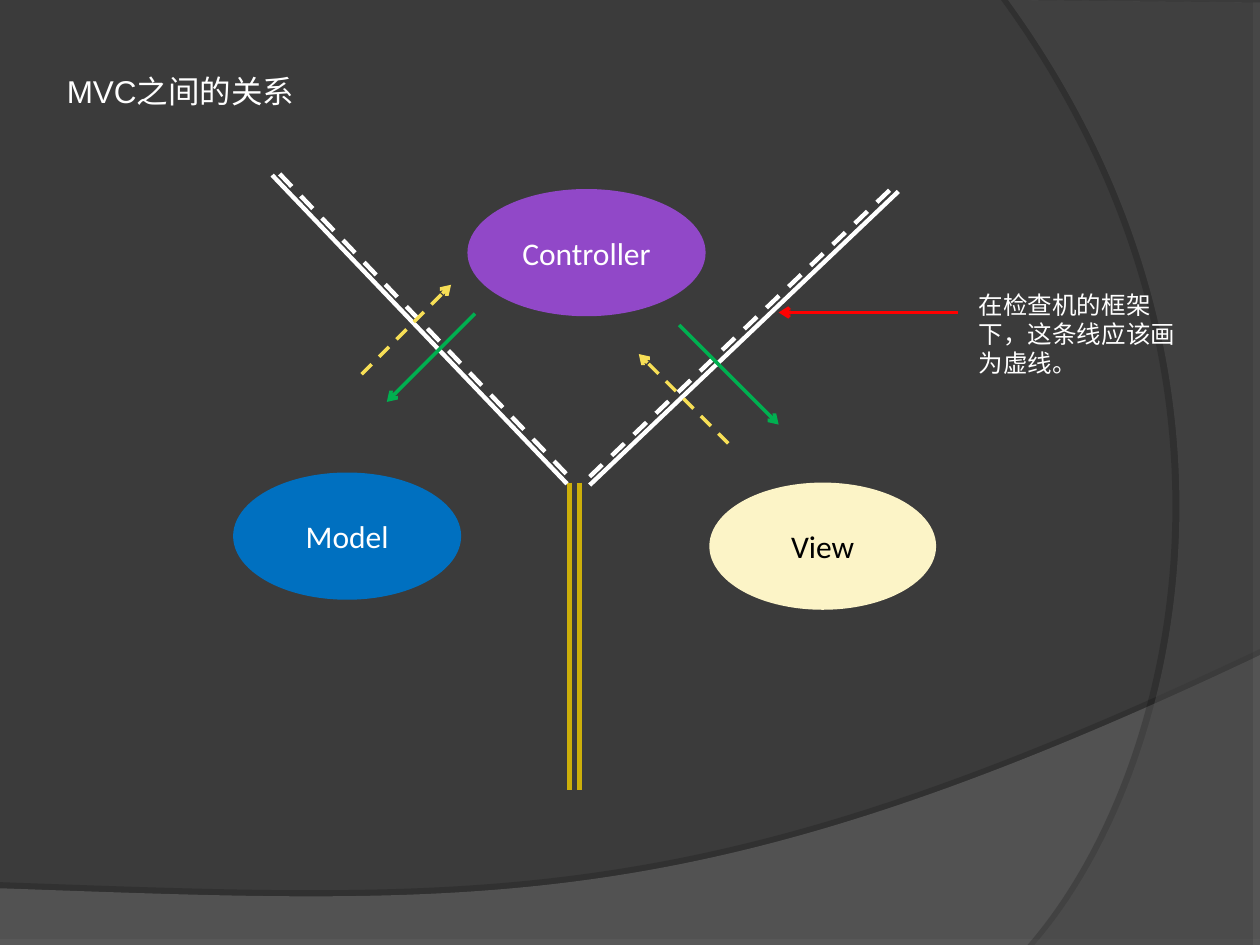
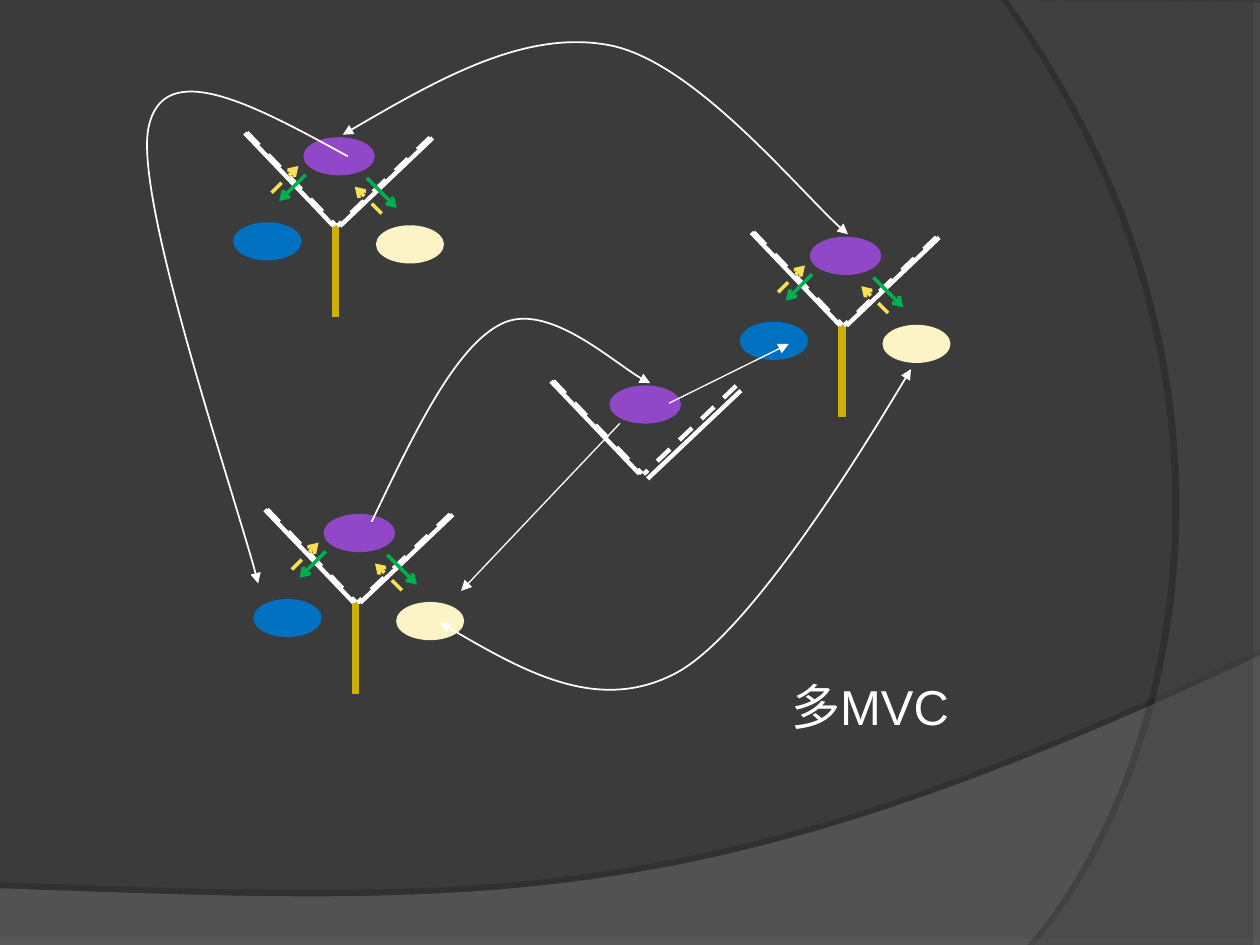
from itertools import chain

from lxml import etree
from pptx import Presentation
from pptx import util as u
from pptx.dml.color import RGBColor
from pptx.enum import dml, shapes, text
from pptx.oxml.ns import qn

COLUMNS, ROWS = 10, 7.5  # slide grid, one inch a cell
TITLE_ONLY = 5

BACKDROP = RGBColor(0x3B, 0x3B, 0x3B)
LOWER_BAND = RGBColor(0x7C, 0x7C, 0x7C)
SIDE_BAND = RGBColor(0x59, 0x59, 0x59)
WHITE = RGBColor(0xFF, 0xFF, 0xFF)
BLACK = RGBColor(0x00, 0x00, 0x00)
GOLD = RGBColor(0xCC, 0xAF, 0x0A)
BLUE = RGBColor(0x00, 0x70, 0xC0)
CREAM = RGBColor(0xFC, 0xF4, 0xC7)
PURPLE = RGBColor(0x91, 0x48, 0xC8)
GREEN = RGBColor(0x00, 0xB0, 0x50)
YELLOW = RGBColor(0xF7, 0xDF, 0x56)
RED = RGBColor(0xFF, 0x00, 0x00)

# The MVC diagram on its own grid, which any box width can stretch
DIAGRAM_COLUMNS = 5.6
STEM = [((x, 2.46), (x, 4.9)) for x in (2.67, 2.75)]
ROLES = {
    "Model": ((0, 2.38, 1.81, 1.01), BLUE, WHITE),
    "View": ((3.78, 2.46, 1.8, 1.01), CREAM, BLACK),
    "Controller": ((1.86, 0.13, 1.89, 1.01), PURPLE, WHITE),
}
DASHED_ARMS = [((5.21, 0.14), (2.76, 2.48)), ((0.37, 0.01), (2.71, 2.46))]
LEFT_ARM = ((0.31, 0.02), (2.65, 2.47))
RIGHT_ARM = ((5.28, 0.15), (2.83, 2.48))
COMMANDS = [((1.92, 1.12), (1.22, 1.82)), ((3.54, 1.21), (4.33, 2))]
NOTICES = [((1.02, 1.6), (1.73, 0.89)), ((3.93, 2.15), (3.22, 1.44))]


def style_line(shape, color, width, dashed=False, head=None, tail=None):
    shape.line.color.rgb = color
    shape.line.width = u.Pt(width)
    if dashed:
        shape.line.dash_style = dml.MSO_LINE.DASH
    outline = shape.element.spPr.find(qn("a:ln"))
    for tag, kind in (("a:headEnd", head), ("a:tailEnd", tail)):
        if kind:
            etree.SubElement(outline, qn(tag), type=kind)


def add_line(page, start, end, color, width, **style):
    ends = [u.Inches(value) for value in (*start, *end)]
    line = page.shapes.add_connector(shapes.MSO_CONNECTOR.STRAIGHT, *ends)
    style_line(line, color, width, **style)
    etree.SubElement(line.element.spPr, qn("a:effectLst"))


def add_path(page, start, segments, close=False):
    """Draw an outline; a segment of three points is a Bézier curve."""
    def to_emu(point):
        return tuple(u.Inches(value) for value in point)

    builder = page.shapes.build_freeform(*to_emu(start))
    builder.add_line_segments([to_emu(p) for p in chain(*segments)], close=close)
    shape = builder.convert_to_shape()
    shape.shadow.inherit = False
    steps = iter(list(shape.element.iter(qn("a:lnTo"))))
    for segment in segments:
        group = [next(steps) for _ in segment]
        if len(group) == 3:
            curve = etree.Element(qn("a:cubicBezTo"))
            group[0].addprevious(curve)
            for step in group:
                curve.append(step[0])
                step.getparent().remove(step)
    return shape


def add_curve(page, start, *segments, head=None):
    curve = add_path(page, start, segments)
    curve.fill.background()
    style_line(curve, WHITE, 1, head=head, tail="triangle")


def move_band_to_master(master, band, color, opacity, shade, distance, angle):
    """Style the band and put it behind all that the master holds."""
    band.fill.solid()
    band.fill.fore_color.rgb = color
    band.line.fill.background()
    properties = band.element.spPr
    tint = properties.find(qn("a:solidFill"))[0]
    etree.SubElement(tint, qn("a:alpha"), val=str(opacity * 1000))
    shadow = etree.SubElement(
        properties.find(qn("a:effectLst")), qn("a:outerShdw"), blurRad="0",
        dist=str(u.Pt(distance)), dir=str(angle * 60000), rotWithShape="0")
    black = etree.SubElement(shadow, qn("a:srgbClr"), val=str(BLACK))
    etree.SubElement(black, qn("a:alpha"), val=str(shade * 1000))
    tree = master.element.cSld.spTree
    tree.find(qn("p:sp")).addprevious(band.element)


def dress_master(master, page):
    """Set the backdrop; the bands are drawn on a page, then moved."""
    master.background.fill.solid()
    master.background.fill.fore_color.rgb = BACKDROP
    lower = add_path(page, (0, 7.05), [
        [(0, ROWS)], [(COLUMNS, ROWS)], [(COLUMNS, 5.2)],
        [(5.59, 7.29), (3.91, 7.19), (0, 7.05)]], close=True)
    side = add_path(page, (COLUMNS, 0.02), [
        [(COLUMNS, ROWS)], [(8.21, ROWS)],
        [(9.35, 6.19), (10.18, 3), (8, 0)]], close=True)
    move_band_to_master(master, side, SIDE_BAND, 40, 45, 4, 180)
    move_band_to_master(master, lower, LOWER_BAND, 45, 35, 3.5, 270)


def place_text(box, area, words, size):
    box.left, box.top, box.width, box.height = map(u.Inches, area)
    frame = box.text_frame
    frame.text = words
    frame.word_wrap = True
    frame.auto_size = text.MSO_AUTO_SIZE.NONE
    frame.vertical_anchor = text.MSO_ANCHOR.TOP
    para = frame.paragraphs[0]
    para.alignment = text.PP_ALIGN.LEFT
    para.runs[0].font.name = "Arial"
    para.runs[0].font.size = u.Pt(size)
    para.runs[0].font.color.rgb = WHITE
    # Keep a closing comma inside the box when the line breaks
    para.runs[0].font.bold = False
    frame.paragraphs[0].line_spacing = 1.0
    box.element.find(".//" + qn("a:pPr")).set("hangingPunct", "0")


def add_role(page, area, role, labelled):
    _, fill, ink = ROLES[role]
    oval = page.shapes.add_shape(shapes.MSO_SHAPE.OVAL, *map(u.Inches, area))
    oval.shadow.inherit = False
    oval.fill.solid()
    oval.fill.fore_color.rgb = fill
    oval.line.fill.background()
    if labelled:
        frame = oval.text_frame
        frame.text = role
        frame.vertical_anchor = text.MSO_ANCHOR.MIDDLE
        para = frame.paragraphs[0]
        para.alignment = text.PP_ALIGN.CENTER
        font = para.runs[0].font
        font.name, font.size, font.color.rgb = "Calibri", u.Pt(18), ink


def add_mvc(page, left, top, width, labelled=False, complete=True):
    """Draw the diagram; an incomplete one has only arms and Controller."""
    cell = width / DIAGRAM_COLUMNS

    def spot(point):
        return left + point[0] * cell, top + point[1] * cell

    def draw(lines, color, weight, **style):
        for start, end in lines:
            add_line(page, spot(start), spot(end), color, weight, **style)

    if complete:
        draw(STEM, GOLD, 2.5)
    draw(DASHED_ARMS, WHITE, 2.5, dashed=True)
    draw([LEFT_ARM], WHITE, 2.5)
    if complete:
        draw([RIGHT_ARM], WHITE, 2.5)
    for role in ROLES if complete else ["Controller"]:
        x, y, wide, high = ROLES[role][0]
        add_role(page, (*spot((x, y)), wide * cell, high * cell), role, labelled)
    if complete:
        draw(COMMANDS, GREEN, 2, tail="arrow")
        draw(NOTICES, YELLOW, 2, dashed=True, tail="arrow")


def build_relations(page):
    place_text(page.shapes.title, (0.43, 0.52, 3.47, 0.4), "MVC之间的关系", 18)
    add_mvc(page, 1.85, 1.37, DIAGRAM_COLUMNS, labelled=True)
    add_line(page, (7.6, 2.48), (6.18, 2.48), RED, 2, tail="arrow")
    note = page.shapes.add_textbox(0, 0, 0, 0)
    place_text(note, (7.67, 2.25, 1.81, 0.8),
               "在检查机的框架下，这条线应该画为虚线。", 14)


def build_network(page):
    place_text(page.shapes.title, (6.18, 5.32, 3.46, 0.57), "多MVC", 28)
    small = DIAGRAM_COLUMNS * 0.3
    for left, top in ((1.85, 1.05), (2.01, 4.04), (5.87, 1.84)):
        add_mvc(page, left, top, small)
    add_mvc(page, 4.28, 3.02, small, complete=False)
    add_line(page, (5.88, 3.1), (5.14, 3.8), WHITE, 2.5)

    add_curve(page, (2.76, 1.24),
              [(2.03, 0.84), (1.3, 0.44), (1.18, 1.01)],
              [(1.06, 1.57), (1.9, 4.03), (2.05, 4.63)])
    add_curve(page, (2.95, 4.14),
              [(3.28, 3.45), (3.61, 2.75), (3.98, 2.57)],
              [(4.34, 2.39), (4.96, 2.96), (5.16, 3.04)])
    add_curve(page, (2.72, 1.07),
              [(3.44, 0.65), (4.17, 0.23), (4.84, 0.36)],
              [(5.51, 0.49), (6.42, 1.61), (6.73, 1.86)], head="triangle")
    add_curve(page, (3.49, 4.94),
              [(4.12, 5.31), (4.75, 5.67), (5.37, 5.34)],
              [(6, 5), (7.23, 2.93), (7.23, 2.93)], head="triangle")
    for start, end in (((4.92, 3.36), (3.66, 4.69)),
                       ((5.31, 3.2), (6.26, 2.73))):
        add_line(page, start, end, WHITE, 0.75, tail="triangle")


def main():
    deck = Presentation()
    deck.slide_width, deck.slide_height = u.Inches(COLUMNS), u.Inches(ROWS)
    layout = deck.slide_layouts[TITLE_ONLY]
    relations, network = (deck.slides.add_slide(layout) for _ in range(2))
    dress_master(deck.slide_master, relations)
    build_relations(relations)
    build_network(network)
    deck.save("out.pptx")


if __name__ == "__main__":
    main()
